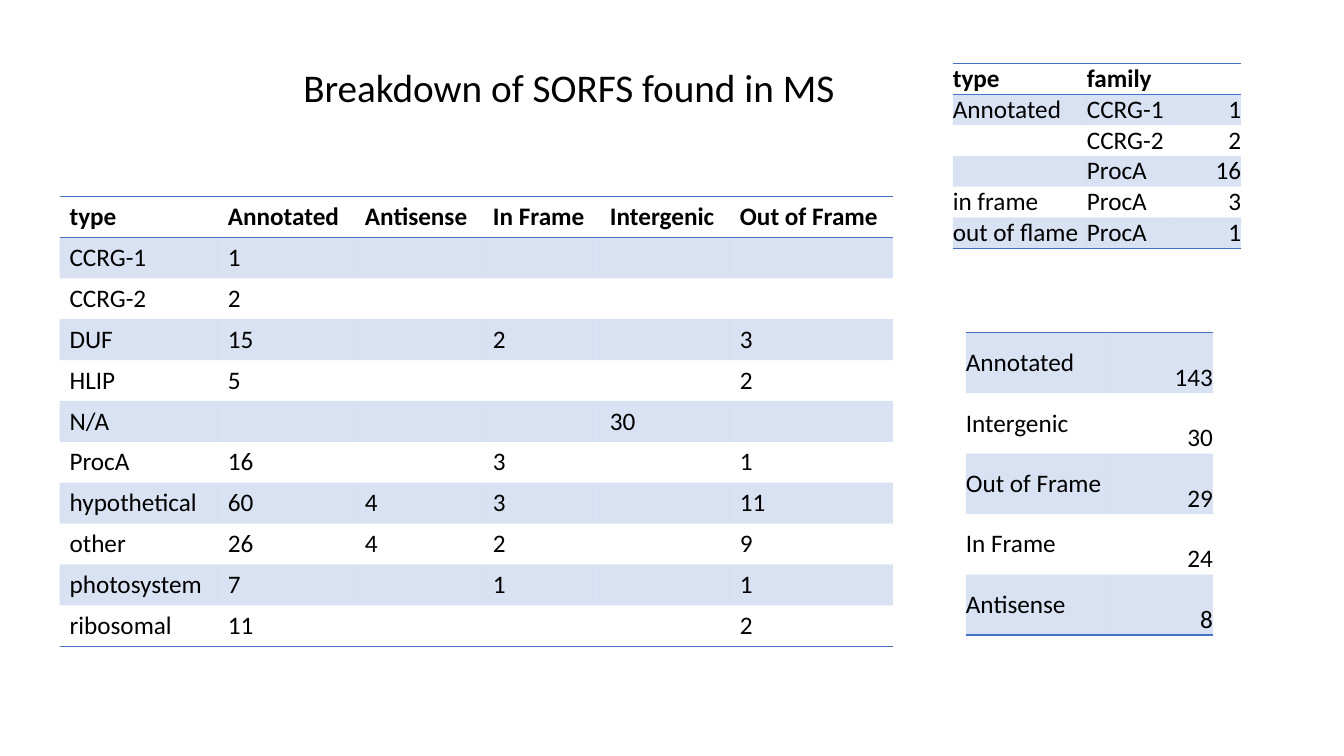
from lxml import etree
from pptx import Presentation
from pptx.dml.color import RGBColor
from pptx.enum import text as t
from pptx.oxml import ns
from pptx.util import Inches, Pt

BLUE = RGBColor(0x44, 0x72, 0xC4)
BLACK = RGBColor(0, 0, 0)
NO_STYLE = "{2D5ABB26-0587-4C30-8999-92F81FD0307C}"
MIDDLE, BOTTOM = t.MSO_ANCHOR.MIDDLE, t.MSO_ANCHOR.BOTTOM
LEFT, RIGHT = t.PP_ALIGN.LEFT, t.PP_ALIGN.RIGHT

BREAKDOWN = [
    ["type", "Annotated", "Antisense", "In Frame", "Intergenic", "Out of Frame"],
    ["CCRG-1", "1", "", "", "", ""],
    ["CCRG-2", "2", "", "", "", ""],
    ["DUF", "15", "", "2", "", "3"],
    ["HLIP", "5", "", "", "", "2"],
    ["N/A", "", "", "", "30", ""],
    ["ProcA", "16", "", "3", "", "1"],
    ["hypothetical", "60", "4", "3", "", "11"],
    ["other", "26", "4", "2", "", "9"],
    ["photosystem", "7", "", "1", "", "1"],
    ["ribosomal", "11", "", "", "", "2"],
]
FAMILIES = [
    ["type", "family", ""],
    ["Annotated", "CCRG-1", "1"],
    ["", "CCRG-2", "2"],
    ["", "ProcA", "16"],
    ["in frame", "ProcA", "3"],
    ["out of flame", "ProcA", "1"],
]
TOTALS = [
    ["Annotated", "143"],
    ["Intergenic", "30"],
    ["Out of Frame", "29"],
    ["In Frame", "24"],
    ["Antisense", "8"],
]


def apply_format(target, values):
    """Set every attribute named in values on the target."""
    for name, value in values.items():
        setattr(target, name, value)


def style_text(paragraph, size, bold=False, align=LEFT):
    """Format a paragraph and its runs."""
    paragraph.alignment = align
    for run in paragraph.runs:
        apply_format(run.font, {"name": "Calibri", "size": Pt(size), "bold": bold})
        run.font.color.rgb = BLACK


def tint_cell(cell):
    """Fill a cell with blue at a fifth of full opacity."""
    cell.fill.solid()
    cell.fill.fore_color.rgb = BLUE
    color = cell._tc.tcPr.find(".//" + ns.qn("a:srgbClr"))
    etree.SubElement(color, ns.qn("a:alpha"), val="20000")


def add_rules(cell, sides):
    """Draw one-point blue borders on the sides given, T before B."""
    properties = cell._tc.get_or_add_tcPr()
    for position, side in enumerate(sides):
        line = etree.Element(ns.qn("a:ln" + side), w=str(Pt(1)))
        fill = etree.SubElement(line, ns.qn("a:solidFill"))
        etree.SubElement(fill, ns.qn("a:srgbClr"), val=str(BLUE))
        properties.insert(position, line)


def add_banded_table(slide, left, top, widths, row_height, rows, margins, columns, header=True):
    """Place a table with tinted alternate rows; columns holds (anchor, alignment) pairs."""
    frame = slide.shapes.add_table(
        len(rows), len(widths), Inches(left), Inches(top),
        Inches(sum(widths)), Inches(row_height * len(rows)))
    table = frame.table
    apply_format(table, {"first_row": False, "horz_banding": False})
    table._tbl.tblPr.find(ns.qn("a:tableStyleId")).text = NO_STYLE
    for column, width in zip(table.columns, widths):
        column.width = Inches(width)
    horizontal, vertical = map(Inches, margins)
    for row_index, values in enumerate(rows):
        table.rows[row_index].height = Inches(row_height)
        is_header = header and row_index == 0
        sides = ("T" if row_index == 0 else "") + (
            "B" if is_header or row_index == len(rows) - 1 else "")
        for column_index, value in enumerate(values):
            cell = table.cell(row_index, column_index)
            anchor, align = columns[column_index]
            apply_format(cell, {
                "text": value, "vertical_anchor": anchor,
                "margin_left": horizontal, "margin_right": horizontal,
                "margin_top": vertical, "margin_bottom": vertical})
            style_text(cell.text_frame.paragraphs[0], 18, is_header, align)
            if row_index % 2 == int(header):
                tint_cell(cell)
            else:
                cell.fill.background()
            add_rules(cell, sides)


def add_title(slide, left, top, width, height):
    """Place the slide heading."""
    shape = slide.shapes.add_textbox(*map(Inches, (left, top, width, height)))
    frame = shape.text_frame
    apply_format(frame, {"text": "Breakdown of SORFS found in MS", "word_wrap": False,
                         "auto_size": t.MSO_AUTO_SIZE.SHAPE_TO_FIT_TEXT})
    style_text(frame.paragraphs[0], 28)


def main():
    """Build the slide and save it."""
    presentation = Presentation()
    apply_format(presentation, {"slide_width": Inches(13.33), "slide_height": Inches(7.5)})
    slide = presentation.slides.add_slide(presentation.slide_layouts[6])
    add_banded_table(slide, 0.59, 1.95, [1.57, 1.36, 1.27, 1.16, 1.29, 1.62], 0.4,
                     BREAKDOWN, (0.1, 0.05), [(MIDDLE, LEFT)] * 6)
    add_banded_table(slide, 9.45, 0.63, [1.33, 0.83, 0.7], 0.3, FAMILIES, (0, 0),
                     [(MIDDLE, LEFT), (BOTTOM, LEFT), (BOTTOM, RIGHT)])
    add_banded_table(slide, 9.58, 3.3, [1.42, 1.03], 0.6, TOTALS, (0, 0),
                     [(MIDDLE, LEFT), (BOTTOM, RIGHT)], header=False)
    add_title(slide, 2.91, 0.58, 5.53, 0.57)
    presentation.save("out.pptx")


if __name__ == "__main__":
    main()
